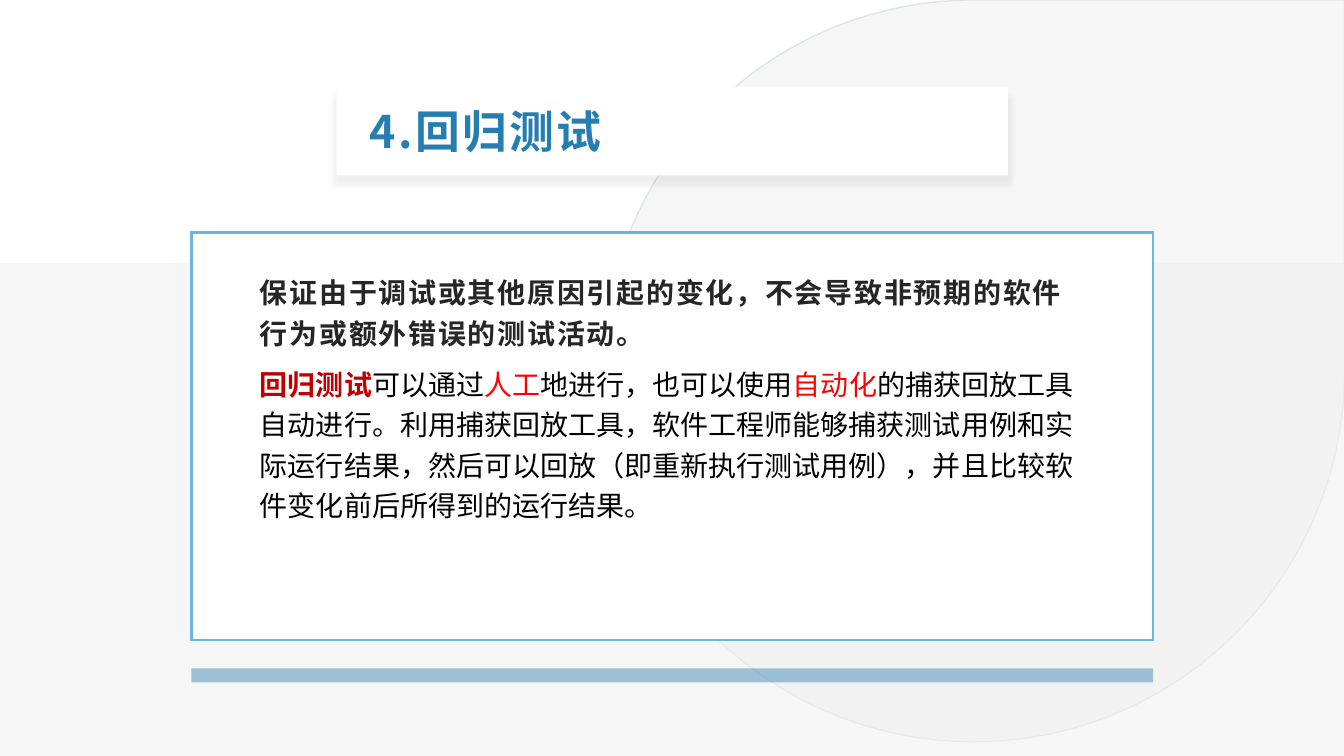
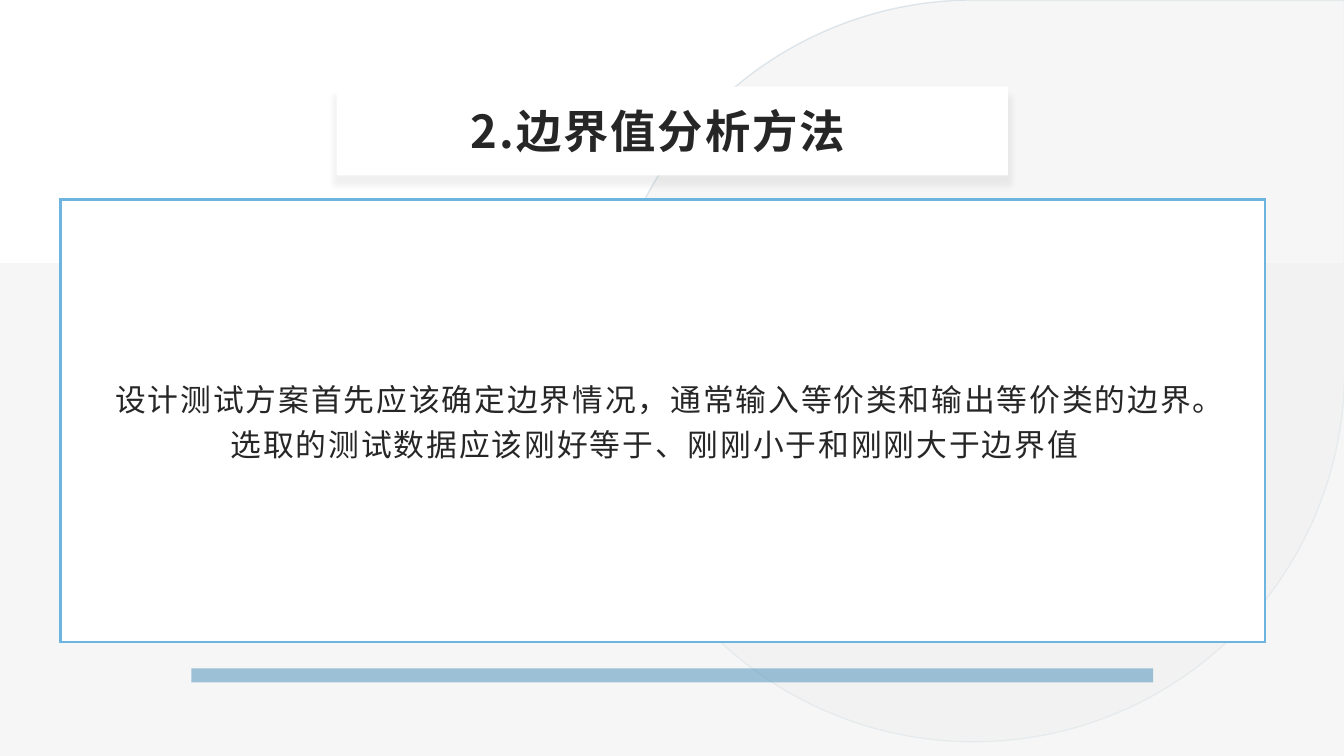
from lxml.etree import SubElement
from pptx import Presentation
from pptx.dml.color import RGBColor
from pptx.enum.shapes import MSO_SHAPE as Shape
from pptx.enum.text import MSO_ANCHOR as Anchor, MSO_AUTO_SIZE as AutoSize, PP_ALIGN as Align
from pptx.oxml.ns import qn
from pptx.util import Inches, Pt

WHITE = RGBColor(0xFF, 0xFF, 0xFF)
BLACK = RGBColor(0x00, 0x00, 0x00)
INK = RGBColor(0x26, 0x26, 0x26)
PALE = RGBColor(0xF0, 0xF0, 0xF0)
NAVY = RGBColor(0x1C, 0x5C, 0x81)
BLUE = RGBColor(0x26, 0x7D, 0xAF)
SKY = RGBColor(0x6D, 0xB5, 0xDF)
RED = RGBColor(0xFF, 0x00, 0x00)
CRIMSON = RGBColor(0xC0, 0x00, 0x00)
FONT = "Noto Sans CJK SC"
PAGE_HEIGHT = 7.5
PAGE_WIDTH = PAGE_HEIGHT * 16 / 9


def set_all(target, values):
    for name, value in values.items():
        setattr(target, name, value)


def set_alpha(parent, percent):
    color = next(parent.iter(qn("a:srgbClr")))
    SubElement(color, qn("a:alpha"), val=str(percent * 1000))


def add_block(page, kind, box, color, alpha=100, line=None, line_width=1, line_alpha=100):
    block = page.shapes.add_shape(kind, *map(Inches, box))
    block.shadow.inherit = False
    block.fill.solid()
    block.fill.fore_color.rgb = color
    if alpha < 100:
        set_alpha(block._element.spPr.find(qn("a:solidFill")), alpha)
    if line is None:
        block.line.fill.background()
    else:
        block.line.color.rgb = line
        block.line.width = Pt(line_width)
        outline = block._element.spPr.find(qn("a:ln"))
        SubElement(outline, qn("a:miter"), lim="800000")
        if line_alpha < 100:
            set_alpha(outline, line_alpha)
    return block


def add_shadow(block):
    effects = block._element.spPr.find(qn("a:effectLst"))
    shadow = SubElement(effects, qn("a:outerShdw"), blurRad=str(Pt(4)), dist=str(Pt(6)),
                        dir="5400000", sx="101000", sy="101000", algn="t", rotWithShape="0")
    color = SubElement(shadow, qn("a:srgbClr"), val="0D0D0D")
    SubElement(color, qn("a:alpha"), val="6000")


def add_span(para, text, size, color, bold=False, spacing=0):
    span = para.add_run()
    span.text = text
    set_all(span.font, {"size": Pt(size), "bold": bold, "name": FONT})
    span.font.color.rgb = color
    properties = span._r.get_or_add_rPr()
    properties.set("spc", str(round(spacing * 100)))
    SubElement(properties, qn("a:ea"), typeface=FONT)


def add_backdrop(page):
    add_block(page, Shape.TEAR, (5.98, 0, 7.36, 7.36), PALE, 54, NAVY, 1, 12)
    add_block(page, Shape.RECTANGLE, (0, 2.61, PAGE_WIDTH, PAGE_HEIGHT - 2.61), PALE, 54)
    add_block(page, Shape.RECTANGLE, (1.9, 6.63, 9.54, 0.14), BLUE, 43)


def add_title(page, box, text, indent=0.1, **style):
    left, top, width, height = box
    add_shadow(add_block(page, Shape.RECTANGLE, box, WHITE))
    title = page.shapes.title
    set_all(title, {"left": Inches(left + 0.23), "top": Inches(top + 0.09),
                    "width": Inches(width - 0.46), "height": Inches(height - 0.19)})
    set_all(title.text_frame, {"auto_size": AutoSize.NONE, "word_wrap": True,
                               "vertical_anchor": Anchor.MIDDLE,
                               "margin_left": Inches(indent)})
    para = title.text_frame.paragraphs[0]
    para.alignment = Align.LEFT
    add_span(para, text, bold=True, **style)
    page.shapes._spTree.append(title._element)


def add_panel(page, box, insets, paragraphs, size, align, anchor):
    left, top, width, height = box
    inset_left, inset_top, inset_right, inset_bottom = insets
    add_block(page, Shape.RECTANGLE, box, WHITE, line=SKY, line_width=2)
    body = page.shapes.add_textbox(
        Inches(left + inset_left), Inches(top + inset_top),
        Inches(width - inset_left - inset_right), Inches(height - inset_top - inset_bottom))
    frame = body.text_frame
    set_all(frame, {"word_wrap": True, "vertical_anchor": anchor})
    for index, spans in enumerate(paragraphs):
        para = frame.add_paragraph() if index else frame.paragraphs[0]
        set_all(para, {"alignment": align, "line_spacing": 1.2, "space_after": Pt(8)})
        for text, color, bold, spacing in spans:
            add_span(para, text, size, color, bold, spacing)


def add_page(deck, title, panel):
    page = deck.slides.add_slide(deck.slide_layouts[5])
    add_backdrop(page)
    add_title(page, (3.34, 0.86, 6.66, 0.88), **title)
    add_panel(page, **panel)


REGRESSION = [
    [("保证由于调试或其他原因引起的变化，不会导致非预期的软件行为或额外错误的测试活动。", INK, True, 1.2)],
    [("回归测试", CRIMSON, True, 0),
     ("可以通过", BLACK, False, 0),
     ("人工", RED, False, 0),
     ("地进行，也可以使用", BLACK, False, 0),
     ("自动化", RED, False, 0),
     ("的捕获回放工具自动进行。利用捕获回放工具，软件工程师能够捕获测试用例和实际运行结果，"
      "然后可以回放（即重新执行测试用例），并且比较软件变化前后所得到的运行结果。", BLACK, False, 0)],
]
BOUNDARY = [
    [("设计测试方案首先应该确定边界情况，通常输入等价类和输出等价类的边界。"
      "选取的测试数据应该刚好等于、刚刚小于和刚刚大于边界值", INK, False, 1.4)],
]


def main():
    deck = Presentation()
    set_all(deck, {"slide_width": Inches(PAGE_WIDTH), "slide_height": Inches(PAGE_HEIGHT)})
    add_page(deck,
             {"text": "4.回归测试", "size": 32, "color": BLUE, "spacing": 1.6},
             {"box": (1.9, 2.31, 9.54, 4.04), "insets": (0.58, 0.31, 0.57, 0.5),
              "paragraphs": REGRESSION, "size": 20, "align": Align.LEFT, "anchor": Anchor.TOP})
    add_page(deck,
             {"text": "2.边界值分析方法", "size": 32.4, "color": INK, "spacing": 1.4, "indent": 1.1},
             {"box": (0.6, 1.98, 11.95, 4.39), "insets": (0.31, 0.27, 0.47, 0.33),
              "paragraphs": BOUNDARY, "size": 22, "align": Align.CENTER, "anchor": Anchor.MIDDLE})
    deck.save("out.pptx")


if __name__ == "__main__":
    main()
